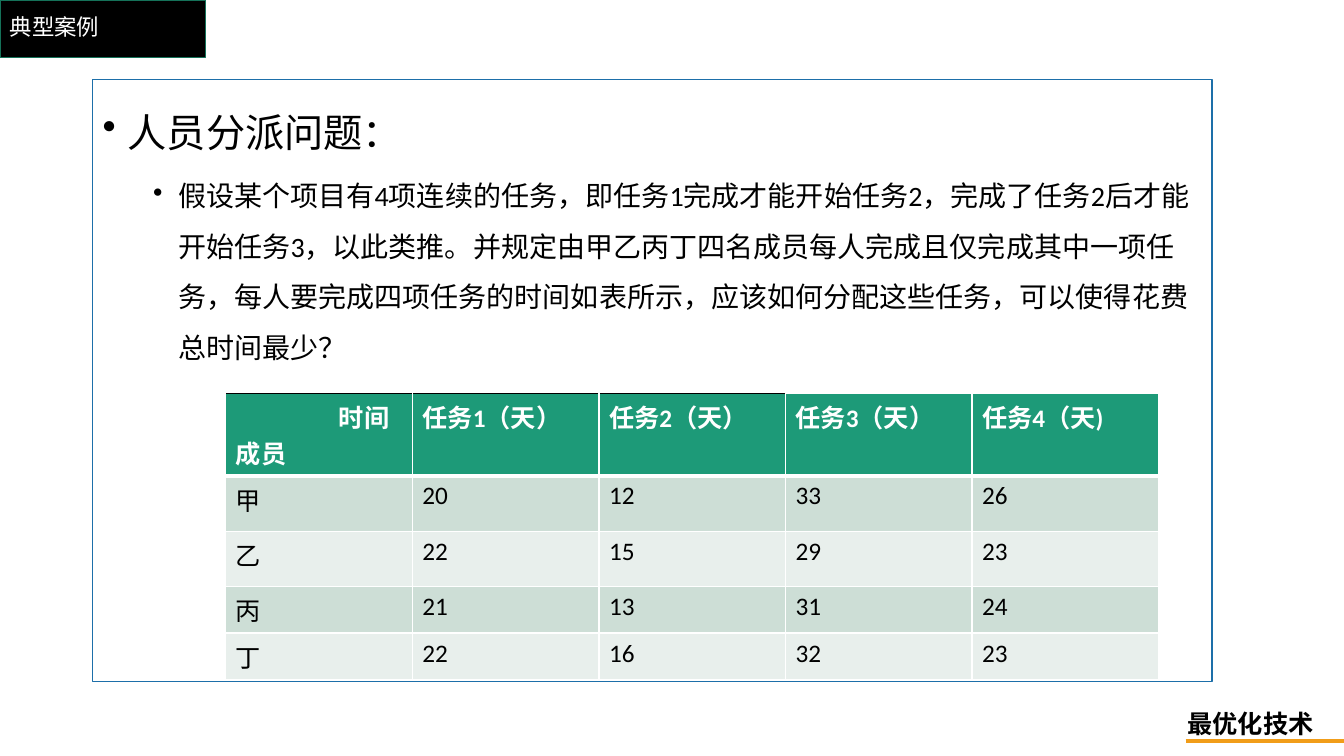
from dataclasses import dataclass

from lxml.etree import SubElement
from pptx import Presentation
from pptx.dml.color import RGBColor
from pptx.enum.shapes import MSO_CONNECTOR, MSO_SHAPE
from pptx.enum.text import MSO_ANCHOR, MSO_AUTO_SIZE
from pptx.oxml.ns import qn
from pptx.util import Inches, Pt


@dataclass(frozen=True)
class Theme:
    """Colours, font and type sizes of the slide."""
    font: str = "Calibri"
    black: str = "000000"
    white: str = "FFFFFF"
    tag_line: str = "157259"
    frame: str = "1D6FA9"
    accent: str = "F19D19"
    header: str = "1D9A78"
    bands: tuple = ("CDDED6", "E8EFEC")
    heading: int = 28
    detail: int = 20
    table: int = 18
    tag: int = 16


THEME = Theme()
PROBLEM = "人员分派问题："
DETAIL = ("假设某个项目有4项连续的任务，即任务1完成才能开始任务2，完成了任务2后才能开始任务3，"
          "以此类推。并规定由甲乙丙丁四名成员每人完成且仅完成其中一项任务，"
          "每人要完成四项任务的时间如表所示，应该如何分配这些任务，可以使得花费总时间最少？")
SCHEDULE = [
    ["时间\n成员", "任务1（天）", "任务2（天）", "任务3（天）", "任务4（天)"],
    ["甲", "20", "12", "33", "26"],
    ["乙", "22", "15", "29", "23"],
    ["丙", "21", "13", "31", "24"],
    ["丁", "22", "16", "32", "23"],
]
ROW_HEIGHTS = [0.82, 0.55, 0.55, 0.46, 0.46]
COLUMN_WIDTH = 1.85


def rgb(colour):
    """Turn a hex string into a colour."""
    return RGBColor.from_string(colour)


def style(paragraph, size, colour=THEME.black, bold=False):
    """Set the font of a whole paragraph."""
    font = paragraph.font
    font.name, font.size, font.bold = THEME.font, Pt(size), bold
    font.color.rgb = rgb(colour)


def indent(paragraph, left, hanging=0):
    """Set the left margin and hanging indent in inches."""
    properties = paragraph._p.get_or_add_pPr()
    properties.set("marL", str(Inches(left)))
    properties.set("indent", str(-Inches(hanging)))
    return properties


def add_box(slide, left, top, width, height, line, fill=None):
    """Add a thinly outlined rectangle, filled if a colour is given."""
    box = slide.shapes.add_shape(MSO_SHAPE.RECTANGLE, Inches(left), Inches(top),
                                 Inches(width), Inches(height))
    box.shadow.inherit = False
    box.line.color.rgb, box.line.width = rgb(line), Pt(1)
    if fill:
        box.fill.solid()
        box.fill.fore_color.rgb = rgb(fill)
    else:
        box.fill.background()
    return box


def add_label(slide, left, top, width, height, text, size, colour, bold=False):
    """Add a one-line text box and return its frame."""
    frame = slide.shapes.add_textbox(Inches(left), Inches(top),
                                     Inches(width), Inches(height)).text_frame
    frame.text = text
    style(frame.paragraphs[0], size, colour, bold)
    return frame


def add_bullet(paragraph, text, size, left):
    """Fill a paragraph as a bulleted line."""
    paragraph.text = text
    SubElement(indent(paragraph, left, 0.25), qn("a:buChar")).set("char", "•")
    paragraph.line_spacing = 1.5
    style(paragraph, size)


def add_case(slide):
    """Add the framed description of the assignment problem."""
    frame = add_box(slide, 0.92, 0.79, 11.1, 5.97, THEME.frame).text_frame
    frame.word_wrap, frame.vertical_anchor = True, MSO_ANCHOR.TOP
    heading, detail = frame.paragraphs[0], frame.add_paragraph()
    add_bullet(heading, PROBLEM, THEME.heading, 0.25)
    add_bullet(detail, DETAIL, THEME.detail, 0.75)
    detail.level, detail.space_before = 1, Pt(5)
    for paragraph in frame.paragraphs:
        paragraph.alignment = 1


def add_border(cell, side, colour, width):
    """Draw one side of a table cell."""
    border = SubElement(cell._tc.get_or_add_tcPr(), qn(f"a:ln{side}"), w=str(Pt(width)))
    fill = SubElement(border, qn("a:solidFill"))
    SubElement(fill, qn("a:srgbClr")).set("val", colour)


def fill_cell(cell, text, row, column):
    """Write and colour one cell of the schedule."""
    is_header = row == 0
    cell.text = text
    for paragraph in cell.text_frame.paragraphs:
        style(paragraph, THEME.table, THEME.white if is_header else THEME.black, is_header)
    top = THEME.black if is_header and column < 3 else THEME.white
    add_border(cell, "L", THEME.white, 1)
    add_border(cell, "R", THEME.white, 1)
    add_border(cell, "T", top, 3 if row == 1 else 1)
    add_border(cell, "B", THEME.white, 3 if is_header else 1)
    cell.fill.solid()
    cell.fill.fore_color.rgb = rgb(THEME.header if is_header else THEME.bands[(row - 1) % 2])


def add_schedule(slide):
    """Add the table of days per member and task."""
    columns = len(SCHEDULE[0])
    table = slide.shapes.add_table(len(SCHEDULE), columns, Inches(2.24), Inches(3.9),
                                   Inches(COLUMN_WIDTH * columns),
                                   Inches(sum(ROW_HEIGHTS))).table
    for column in table.columns:
        column.width = Inches(COLUMN_WIDTH)
    for row, (height, texts) in enumerate(zip(ROW_HEIGHTS, SCHEDULE)):
        table.rows[row].height = Inches(height)
        for column, text in enumerate(texts):
            fill_cell(table.cell(row, column), text, row, column)
    indent(table.cell(0, 0).text_frame.paragraphs[0], 1.02)


def add_footer(slide):
    """Add the course name above its accent line."""
    course = add_label(slide, 11.68, 6.98, 1.46, 0.4, "最优化技术",
                       THEME.table, THEME.black, bold=True)
    course.word_wrap, course.auto_size = False, MSO_AUTO_SIZE.SHAPE_TO_FIT_TEXT
    rule = slide.shapes.add_connector(MSO_CONNECTOR.STRAIGHT, Inches(11.76), Inches(7.35),
                                      Inches(13.33), Inches(7.35))
    rule.line.color.rgb, rule.line.width = rgb(THEME.accent), Pt(2.5)
    SubElement(rule._element.spPr, qn("a:effectLst"))


def main():
    """Build the slide and save it."""
    deck = Presentation()
    deck.slide_width, deck.slide_height = Inches(13.33), Inches(7.5)
    slide = deck.slides.add_slide(deck.slide_layouts[6])
    add_box(slide, 0, 0, 2.04, 0.57, THEME.tag_line, THEME.black)
    add_footer(slide)
    add_case(slide)
    title = add_label(slide, 0, 0, 11.5, 0.57, "典型案例", THEME.tag, THEME.white)
    title.word_wrap, title.vertical_anchor = True, MSO_ANCHOR.MIDDLE
    title.paragraphs[0].line_spacing = 0.9
    add_schedule(slide)
    deck.save("out.pptx")


if __name__ == "__main__":
    main()
